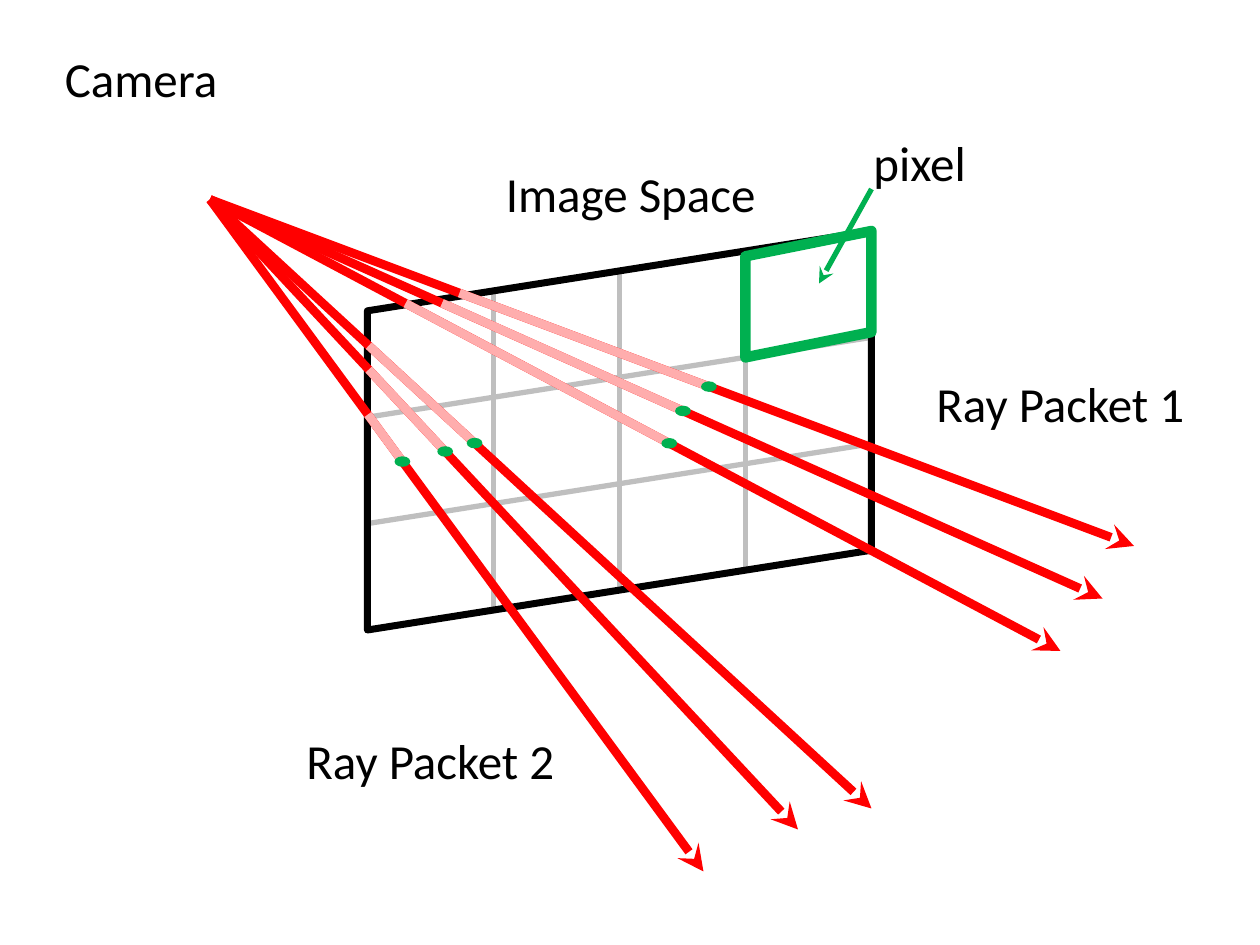
from lxml.etree import SubElement
from pptx import Presentation
from pptx.dml.color import RGBColor
from pptx.enum.shapes import MSO_CONNECTOR, MSO_SHAPE
from pptx.enum.text import MSO_AUTO_SIZE
from pptx.oxml.ns import qn
from pptx.util import Inches, Pt

COLORS = {"ink": "000000", "grid": "BFBFBF", "ray": "FF0000",
          "hidden": "FFADAD", "pixel": "00B050"}
FONT = "Calibri"
UNIT = Inches(10) / 120  # the slide is a grid of 120 columns by 90 rows

CAMERA = (20, 19)
PANEL = (35, 22, 48, 38)
COLS, ROWS = 4, 3
SLANT = 1 / 5  # share of the height that the parallelogram leans

# Ray end, then the shares of the ray where it enters and meets the image
PACKETS = [
    [((108, 52), 0.27, 0.54), ((105, 57), 0.26, 0.53), ((101, 62), 0.23, 0.54)],
    [((83, 77), 0.24, 0.40), ((76, 79), 0.27, 0.40), ((67, 83), 0.32, 0.39)],
]
LABELS = [
    ("Ray Packet 1", (88, 35, 26.3, 6.8)),
    ("Ray Packet 2", (28, 69, 26.3, 6.8)),
    ("Camera", (5, 4, 17, 6.8)),
    ("Image Space", (47, 15, 26.4, 6.8)),
    ("pixel", (82, 12, 11.3, 6.8)),
]


def grid(*values):
    """Turn grid units into slide lengths."""
    return [round(v * UNIT) for v in values]


def rgb(name):
    return RGBColor.from_string(COLORS[name])


def add_line(s, start, end, color, width, arrow=False):
    c = s.shapes.add_connector(MSO_CONNECTOR.STRAIGHT, *grid(*start, *end))
    c.line.color.rgb = rgb(color)
    c.line.width = Pt(width)
    if arrow:
        SubElement(c.line._get_or_add_ln(), qn("a:tailEnd"), type="stealth")
    SubElement(c._element.spPr, qn("a:effectLst"))


def add_slanted_frame(s, box, color, width):
    """Draw a parallelogram with upright sides that fills the box."""
    x, y, w, h = box
    # The preset leans sideways, so it is laid out turned by 90 degrees.
    sp = s.shapes.add_shape(MSO_SHAPE.FLOWCHART_DATA,
                            *grid(x + (w - h) / 2, y + (h - w) / 2, h, w))
    sp.rotation = 90
    sp._element.spPr.find(qn("a:xfrm")).set("flipH", "1")
    sp.shadow.inherit = False
    sp.fill.background()
    sp.line.color.rgb = rgb(color)
    sp.line.width = Pt(width)


def add_image_space(s, box):
    x, y, w, h = box
    drop, side = h * SLANT, h * (1 - SLANT)
    for row in range(1, ROWS):
        level = y + side * row / ROWS
        add_line(s, (x, level + drop), (x + w, level), "grid", 3)
    for col in range(1, COLS):
        left, top = x + w * col / COLS, y + drop * (1 - col / COLS)
        add_line(s, (left, top), (left, top + side), "grid", 3)
    add_slanted_frame(s, box, "ink", 4)


def add_pixel(s, box):
    """Mark the top right cell of the image space."""
    x, y, w, h = box
    add_line(s, (83, 18), (78, 27), "pixel", 3, arrow=True)
    cell_h = h * (1 - SLANT) / ROWS + h * SLANT / COLS
    add_slanted_frame(s, (x + w * (COLS - 1) / COLS, y, w / COLS, cell_h),
                      "pixel", 6)


def point_on_ray(end, share):
    return tuple(a + (b - a) * share for a, b in zip(CAMERA, end))


def add_hit(s, center, w=1.5, h=1):
    x, y = center
    sp = s.shapes.add_shape(MSO_SHAPE.OVAL, *grid(x - w / 2, y - h / 2, w, h))
    sp.shadow.inherit = False
    sp.fill.solid()
    sp.fill.fore_color.rgb = rgb("pixel")
    sp.line.fill.background()


def add_rays(s, packets):
    rays = [ray for packet in packets for ray in packet]
    for end, _, _ in rays:
        add_line(s, CAMERA, end, "ray", 5, arrow=True)
    for end, enter, hit in rays:
        add_line(s, point_on_ray(end, enter), point_on_ray(end, hit), "hidden", 5)
    for end, _, hit in rays:
        add_hit(s, point_on_ray(end, hit))


def add_label(s, text, box):
    tf = s.shapes.add_textbox(*grid(*box)).text_frame
    tf.word_wrap = False
    tf.auto_size = MSO_AUTO_SIZE.SHAPE_TO_FIT_TEXT
    r = tf.paragraphs[0].add_run()
    r.text = text
    r.font.name = FONT
    r.font.size = Pt(28)
    r.font.color.rgb = rgb("ink")


def main():
    prs = Presentation()
    prs.slide_width, prs.slide_height = Inches(10), Inches(7.5)
    s = prs.slides.add_slide(prs.slide_layouts[6])
    add_image_space(s, PANEL)
    add_rays(s, PACKETS)
    for text, box in LABELS:
        add_label(s, text, box)
    add_pixel(s, PANEL)
    prs.save("out.pptx")


if __name__ == "__main__":
    main()
